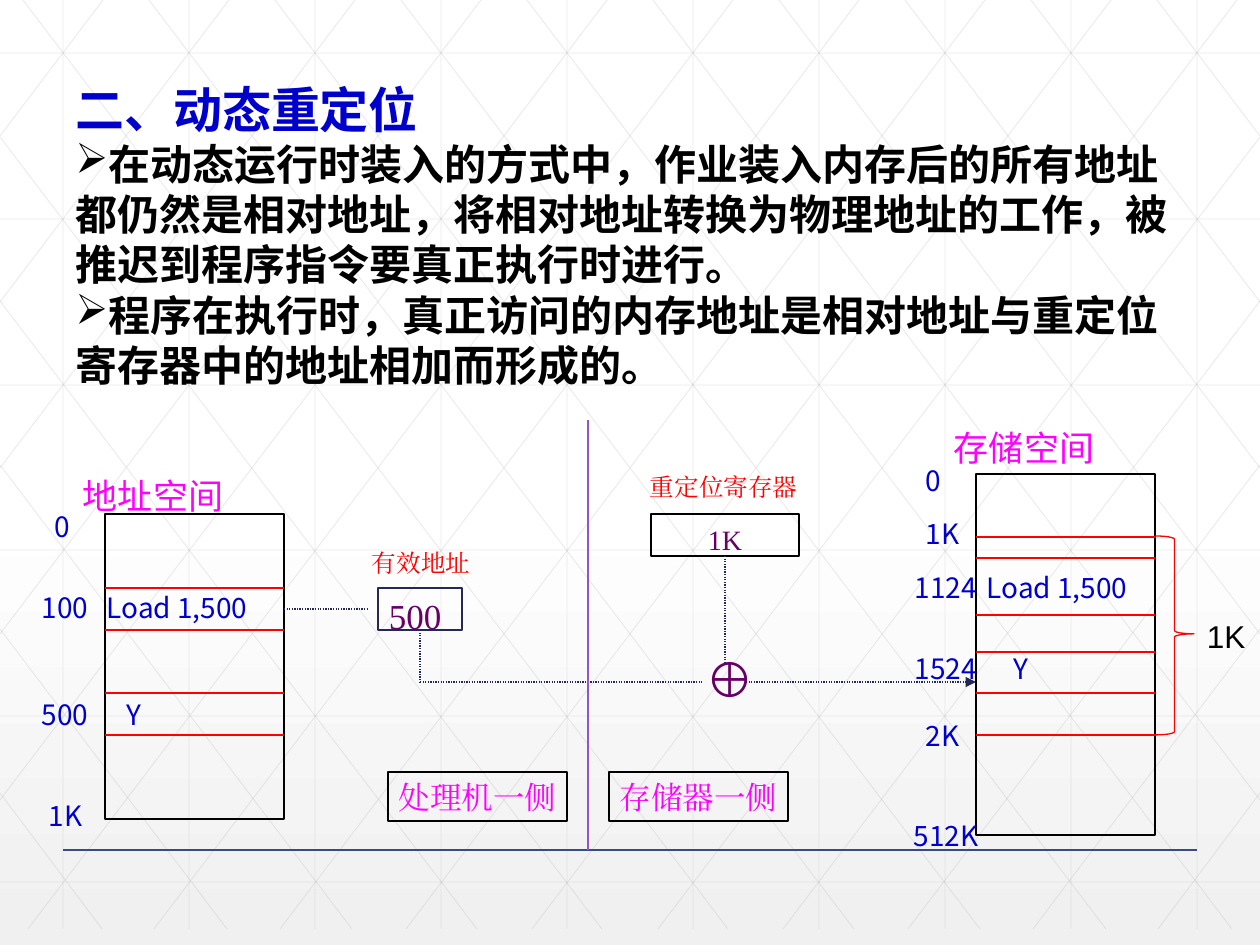
"""Build the slide on dynamic relocation of addresses."""
import dataclasses
import pptx
import pptx.util
import pptx.dml.color
import pptx.enum.dml
import pptx.enum.shapes
import pptx.enum.text
import pptx.oxml.ns
import lxml.etree

SHAPE = pptx.enum.shapes.MSO_SHAPE
ALIGN = pptx.enum.text.PP_ALIGN
ANCHOR = pptx.enum.text.MSO_ANCHOR
WIDE, HIGH, FLOOR = 1260, 945, 929


@dataclasses.dataclass(frozen=True)
class Theme:
    sans: str = "Noto Sans CJK SC"
    serif: str = "Times New Roman"
    plain: str = "Arial"
    white: str = "FFFFFF"
    mist: str = "F0F0F0"
    grid: str = "B2B2B2"
    black: str = "000000"
    blue: str = "0000CC"
    pink: str = "FF00FF"
    red: str = "FF0000"
    plum: str = "660066"
    navy: str = "242852"
    base: str = "384C81"
    violet: str = "9454C3"
    head: int = 28
    body: int = 24
    title: int = 20
    side: int = 18
    cell: int = 16
    note: int = 14


def px(num):
    return pptx.util.Emu(round(num * 914400 / 126))


def rgb(code):
    return pptx.dml.color.RGBColor.from_string(code)


def add(node, tag, **attrs):
    return lxml.etree.SubElement(node, pptx.oxml.ns.qn(tag), attrs)


class Board:
    def __init__(self, deck, theme):
        self.theme = theme
        self.slide = deck.slides.add_slide(deck.slide_layouts[6])

    def shade(self):
        fill = self.slide.background.fill
        fill.gradient()
        fill.gradient_angle = 270
        looks = ((0.53, self.theme.white), (1, self.theme.mist))
        for stop, (place, code) in zip(fill.gradient_stops, looks):
            stop.position = place
            stop.color.rgb = rgb(code)

    def line(self, start, end, color, width=0.75, dots=False, arrow=False, clear=None, tie=None):
        wire = self.slide.shapes.add_connector(
            pptx.enum.shapes.MSO_CONNECTOR.STRAIGHT, *map(px, start + end))
        if tie:
            wire.begin_connect(tie, 2)
        wire.line.color.rgb = rgb(color)
        wire.line.width = pptx.util.Pt(width)
        if dots:
            wire.line.dash_style = pptx.enum.dml.MSO_LINE.ROUND_DOT
        stroke = wire.line._get_or_add_ln()
        if arrow:
            add(stroke, "a:tailEnd", type="triangle")
        if clear:
            add(stroke.find(".//" + pptx.oxml.ns.qn("a:srgbClr")), "a:alpha", val=str(clear * 1000))
        add(wire._element.spPr, "a:effectLst")

    def shape(self, kind, left, top, width, height, color):
        item = self.slide.shapes.add_shape(kind, *map(px, (left, top, width, height)))
        item.shadow.inherit = False
        item.fill.background()
        item.line.color.rgb = rgb(color)
        item.line.width = pptx.util.Pt(0.75)
        return item

    def rect(self, *area, color=Theme.black):
        return self.shape(SHAPE.RECTANGLE, *area, color)

    def brace(self, *area):
        item = self.shape(SHAPE.RIGHT_BRACE, *area, self.theme.red)
        item.adjustments[0] = 0.083
        item.adjustments[1] = 0.492

    def style(self, para, size, color, face, bold=False):
        for run in para.runs:
            font = run.font
            font.size = pptx.util.Pt(size)
            font.bold = bold
            font.color.rgb = rgb(color)
            font.name = face
            add(run._r.get_or_add_rPr(), "a:ea", typeface=face)

    def letter(self, item, text, size, color, face, align=ALIGN.CENTER, anchor=ANCHOR.MIDDLE):
        frame = item.text_frame
        frame.word_wrap = False
        frame.margin_left = frame.margin_right = frame.margin_top = frame.margin_bottom = 0
        frame.vertical_anchor = anchor
        frame.text = text
        frame.paragraphs[0].alignment = align
        self.style(frame.paragraphs[0], size, color, face)

    def label(self, text, left, mid, size, color, face, width=150, align=ALIGN.LEFT):
        box = self.slide.shapes.add_textbox(*map(px, (left, mid - 25, width, 50)))
        self.letter(box, text, size, color, face, align)

    def prose(self, head, points, *area):
        frame = self.slide.shapes.add_textbox(*map(px, area)).text_frame
        frame.word_wrap = True
        frame.text = head
        self.style(frame.paragraphs[0], self.theme.head, self.theme.blue, self.theme.sans, True)
        for text in points:
            para = frame.add_paragraph()
            para.text = text
            props = para._p.get_or_add_pPr()
            props.set("marL", "0")
            props.set("indent", "0")
            add(props, "a:buChar", char="➢")
            self.style(para, self.theme.body, self.theme.black, self.theme.sans, True)

    def mesh(self):
        ends = [((63 + 126 * i, 0), (63 + 126 * i, FLOOR)) for i in range(10)]
        ends += [((0, 53 + round(165.8 * i)), (WIDE, 53 + round(165.8 * i))) for i in range(6)]
        slants = []
        for i in range(10):
            left = 23 + 126 * i
            run = min(705, WIDE - left)
            slants.append(((left, 0), (left + run, round(run * FLOOR / 705))))
        slants += [((0, 137 + 164 * i), (602 - 125 * i, FLOOR)) for i in range(5)]
        ends += slants
        ends += [((WIDE - a, b), (WIDE - c, d)) for (a, b), (c, d) in slants]
        for start, end in ends:
            self.line(start, end, self.theme.grid, 0.5, clear=25)

    def store(self, title, spot, area, rows, marks):
        look = self.theme
        left, top, width, height = area
        self.rect(*area)
        for y in rows:
            self.line((left, y), (left + width, y), look.red)
        self.label(title, *spot, look.title, look.pink, look.sans)
        for text, x, y in marks:
            self.label(text, x, y, look.cell, look.blue, look.sans)


def main():
    deck = pptx.Presentation()
    deck.slide_width, deck.slide_height = px(WIDE), px(HIGH)
    look = Theme()
    board = Board(deck, look)
    board.shade()
    board.mesh()
    board.line((63, 850), (1197, 850), look.base, 1)
    board.prose("二、动态重定位", (
        "在动态运行时装入的方式中，作业装入内存后的所有地址都仍然是相对地址，将相对地址转换为物理地址的工作，被推迟到程序指令要真正执行时进行。",
        "程序在执行时，真正访问的内存地址是相对地址与重定位寄存器中的地址相加而形成的。",
    ), 63, 73, 1144, 386)

    board.store("地址空间", (83, 495), (105, 514, 179, 305), (588, 630, 693, 735), (
        ("0", 55, 526), ("100", 42, 607), ("Load 1,500", 107, 607),
        ("500", 42, 714), ("Y", 127, 714), ("1K", 49, 815)))
    board.store("存储空间", (954, 448), (976, 474, 179, 361), (537, 558, 615, 652, 693, 735), (
        ("0", 926, 480), ("1K", 926, 533), ("1124", 915, 587), ("Load 1,500", 987, 587),
        ("1524", 915, 668), ("Y", 1014, 668), ("2K", 926, 735), ("512K", 914, 835)))

    board.label("有效地址", 372, 563, look.note, look.red, look.serif)
    value = board.rect(378, 588, 84, 42, color=look.navy)
    board.label("500", 389, 615, look.title, look.plum, look.serif)
    board.label("重定位寄存器", 650, 487, look.note, look.red, look.serif)
    base = board.rect(651, 514, 148, 42)
    board.letter(base, "1K", look.cell, look.plum, look.serif, anchor=ANCHOR.BOTTOM)

    board.line((284, 609), (368, 609), look.navy, dots=True)
    board.line((420, 630), (420, 682), look.navy, dots=True, tie=value)
    board.line((420, 682), (703, 682), look.navy, dots=True)
    board.line((725, 556), (725, 662), look.navy, dots=True, tie=base)
    board.line((746, 682), (976, 682), look.navy, dots=True, arrow=True)
    board.label("⊕", 693, 678, look.head, look.plum, look.serif, 73, ALIGN.CENTER)

    board.line((588, 420), (588, 850), look.violet)
    for text, left in (("处理机一侧", 388), ("存储器一侧", 609)):
        side = board.rect(left, 772, 179, 49)
        board.letter(side, text, look.side, look.pink, look.serif)
    board.brace(1155, 536, 39, 199)
    board.label("1K", 1207, 636, look.side, look.black, look.plain, 50)
    deck.save("out.pptx")


if __name__ == "__main__":
    main()
